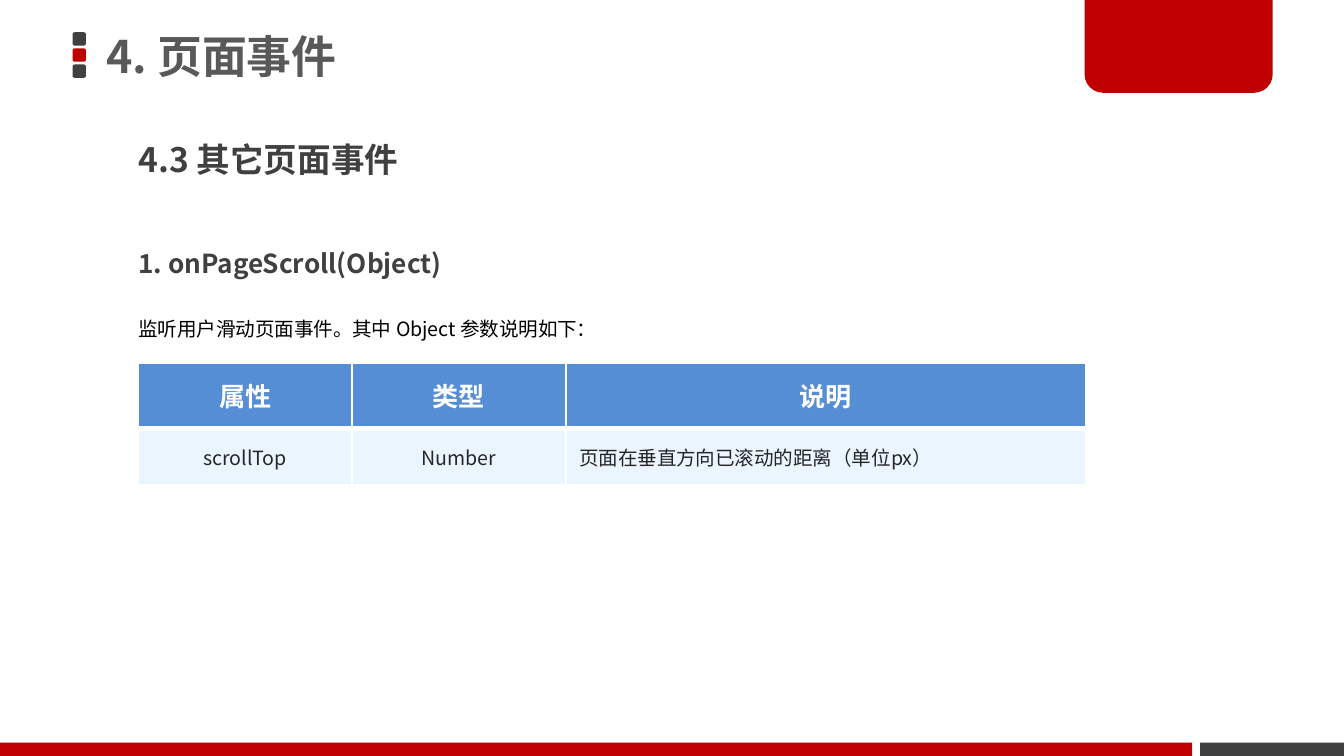
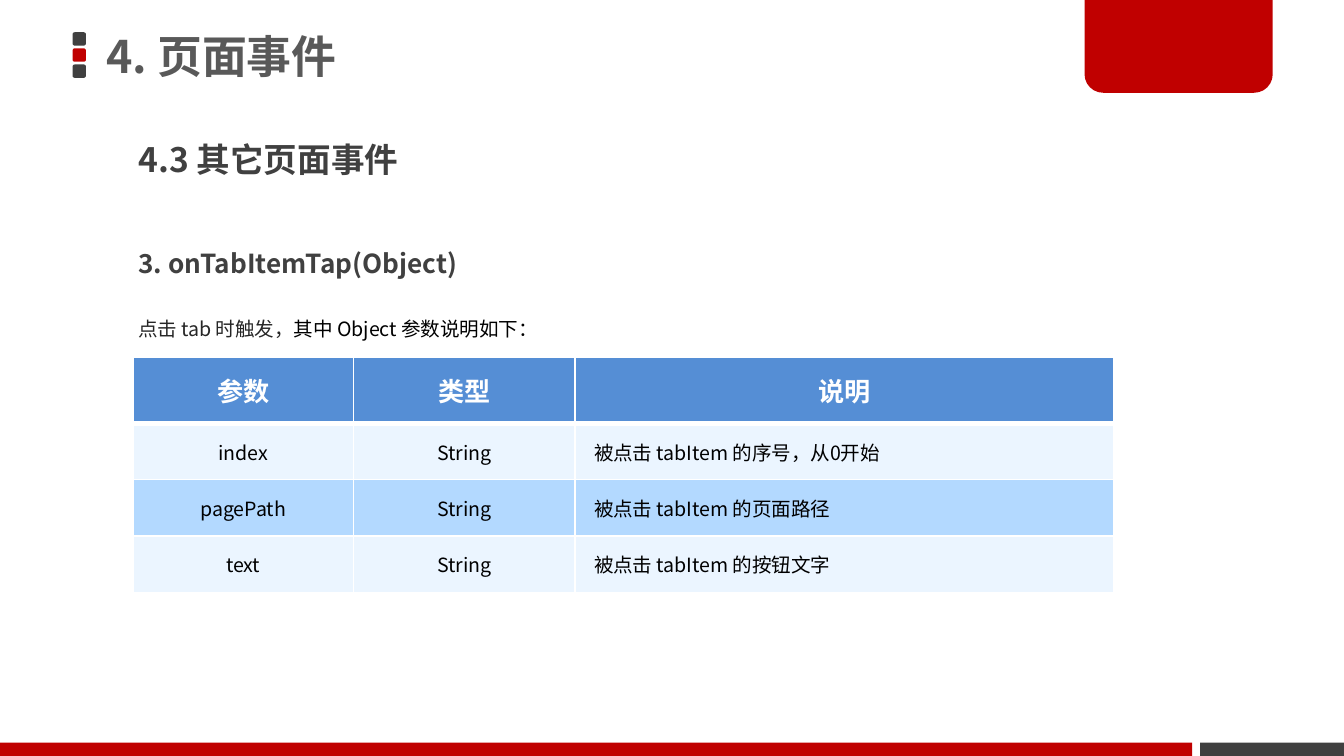
from lxml import etree
from pptx import Presentation
from pptx import util as u
from pptx.dml.color import RGBColor
from pptx.enum import shapes, text
from pptx.oxml.ns import qn

FONT = "Noto Sans CJK SC"
COLORS = {
    "red": "C00000", "dark": "404040", "title": "595959", "ink": "262626",
    "black": "000000", "white": "FFFFFF", "head": "558ED5",
    "band_light": "EBF5FF", "band_deep": "B3D9FF",
}
W = 10
H = W * 9 / 16
LEFT = 0.93
TWO_CONTENT = 3
TITLE = "4. 页面事件"
SECTION = "4.3 其它页面事件"

SLIDES = [
    {
        "event": "1. onPageScroll(Object)",
        "intro": [("监听用户滑动页面事件。其中 Object 参数说明如下：", "black")],
        "intro_height": 0.44,
        "table": {
            "at": (1.03, 2.7), "cols": (1.59, 1.59, 3.87),
            "insets": (0.1, 0.05), "color": "ink",
            "rows": [
                ("属性", "类型", "说明"),
                ("scrollTop", "Number", "页面在垂直方向已滚动的距离（单位px）"),
            ],
        },
    },
    {
        "event": "3. onTabItemTap(Object)",
        "intro": [("点击 tab 时触发，", "ink"),
                  ("其中 Object 参数说明如下：", "black")],
        "intro_height": 0.35,
        "table": {
            "at": (0.99, 2.66), "cols": (1.64, 1.65, 4.01),
            "insets": (0.14, 0.08), "color": "black",
            "rows": [
                ("参数", "类型", "说明"),
                ("index", "String", "被点击 tabItem 的序号，从0开始"),
                ("pagePath", "String", "被点击 tabItem 的页面路径"),
                ("text", "String", "被点击 tabItem 的按钮文字"),
            ],
        },
    },
]


def rgb(name):
    return RGBColor.from_string(COLORS[name])


def place(sp, *box):
    sp.left, sp.top, sp.width, sp.height = map(u.Inches, box)


def write(tf, content, size, color="dark", bold=False, align=text.PP_ALIGN.LEFT,
          spacing=None, before=0):
    """Fill the first paragraph with a string or a list of (text, colour) runs."""
    p = tf.paragraphs[0]
    p.alignment, p.line_spacing, p.space_before = align, spacing, u.Pt(before)
    runs = [(content, color)] if isinstance(content, str) else content
    for words, run_color in runs:
        r = p.add_run()
        r.text = words
        r.font.size, r.font.bold, r.font.name = u.Pt(size), bold, FONT
        r.font.color.rgb = rgb(run_color)
        etree.SubElement(r.font._element, qn("a:ea"), typeface=FONT)
    return p


def fill_box(sp, box, content, size, anchor=text.MSO_ANCHOR.TOP, **fmt):
    place(sp, *box)
    tf = sp.text_frame
    tf.word_wrap, tf.auto_size = True, text.MSO_AUTO_SIZE.NONE
    tf.vertical_anchor = anchor
    p = write(tf, content, size, **fmt)
    pPr = p._p.get_or_add_pPr()
    pPr.set("marL", "0")
    pPr.set("indent", "0")
    etree.SubElement(pPr, qn("a:buNone"))


def add_block(s, kind, box, color, adjustments=()):
    sp = s.shapes.add_shape(kind, *map(u.Inches, box))
    sp.shadow.inherit = False
    sp.fill.solid()
    sp.fill.fore_color.rgb = rgb(color)
    sp.line.fill.background()
    for i, value in enumerate(adjustments):
        sp.adjustments[i] = value


def add_frame(s):
    """Draw the title marker, the corner tab and the footer band."""
    kinds = shapes.MSO_SHAPE
    for i, color in enumerate(("dark", "red", "dark")):
        add_block(s, kinds.ROUNDED_RECTANGLE, (0.54, 0.24 + 0.12 * i, 0.1, 0.1),
                  color, (0.167,))
    add_block(s, kinds.ROUND_2_SAME_RECTANGLE, (8.07, 0, 1.4, 0.69), "red", (0, 0.2))
    band, split, gap = 0.1, 8.87, 0.06
    add_block(s, kinds.RECTANGLE, (0, H - band, split, band), "red")
    add_block(s, kinds.RECTANGLE,
              (split + gap, H - band, W - split - gap, band), "dark")


def set_borders(cell, row):
    """White rules all round, with a thick one between header and body."""
    widths = {"L": 1, "R": 1, "T": 3 if row == 1 else 1, "B": 3 if row == 0 else 1}
    tcPr = cell._tc.get_or_add_tcPr()
    for side, width in widths.items():
        ln = etree.SubElement(tcPr, qn("a:ln" + side), w=str(u.Pt(width)))
        fill = etree.SubElement(ln, qn("a:solidFill"))
        etree.SubElement(fill, qn("a:srgbClr"), val=COLORS["white"])


def add_param_table(s, at, cols, insets, color, rows):
    heights = [0.49] + [0.42] * (len(rows) - 1)
    size = (sum(cols), sum(heights))
    table = s.shapes.add_table(len(rows), len(cols),
                               *map(u.Inches, at + size)).table
    for col, width in zip(table.columns, cols):
        col.width = u.Inches(width)
    for i, (row, height) in enumerate(zip(rows, heights)):
        table.rows[i].height = u.Inches(height)
        head = i == 0
        dx, dy = (0.1, 0.05) if head else insets
        for j, words in enumerate(row):
            cell = table.cell(i, j)
            set_borders(cell, i)
            cell.fill.solid()
            band = "band_light" if i % 2 else "band_deep"
            cell.fill.fore_color.rgb = rgb("head" if head else band)
            cell.margin_left = cell.margin_right = u.Inches(dx)
            cell.margin_top = cell.margin_bottom = u.Inches(dy)
            anchors = text.MSO_ANCHOR
            cell.vertical_anchor = anchors.TOP if head else anchors.MIDDLE
            centred = head or j < len(row) - 1
            write(cell.text_frame, words, 14 if head else 10.5,
                  color="white" if head else color, bold=head,
                  align=text.PP_ALIGN.CENTER if centred else text.PP_ALIGN.LEFT,
                  spacing=u.Pt(24) if head else None)


def add_event_slide(prs, event, intro, intro_height, table):
    s = prs.slides.add_slide(prs.slide_layouts[TWO_CONTENT])
    add_frame(s)
    title, section, lead = s.placeholders
    fill_box(title, (0.69, 0, 7.37, 0.87), TITLE, 24, color="title", bold=True,
             spacing=0.9, anchor=text.MSO_ANCHOR.MIDDLE)
    fill_box(section, (LEFT, 1.02, 7.13, 0.59), SECTION, 18, bold=True,
             spacing=0.9, before=7.5)
    fill_box(lead, (LEFT, 2.22, 7.37, intro_height), intro, 10.5,
             spacing=1.5, before=7.5)
    heading = s.shapes.add_textbox(0, 0, 0, 0)
    fill_box(heading, (LEFT, 1.82, 7.1, 0.31), event, 14, bold=True,
             spacing=0.9, before=7.5)
    add_param_table(s, **table)


def main():
    prs = Presentation()
    prs.slide_width, prs.slide_height = u.Inches(W), u.Inches(H)
    for content in SLIDES:
        add_event_slide(prs, **content)
    prs.save("out.pptx")


if __name__ == "__main__":
    main()
